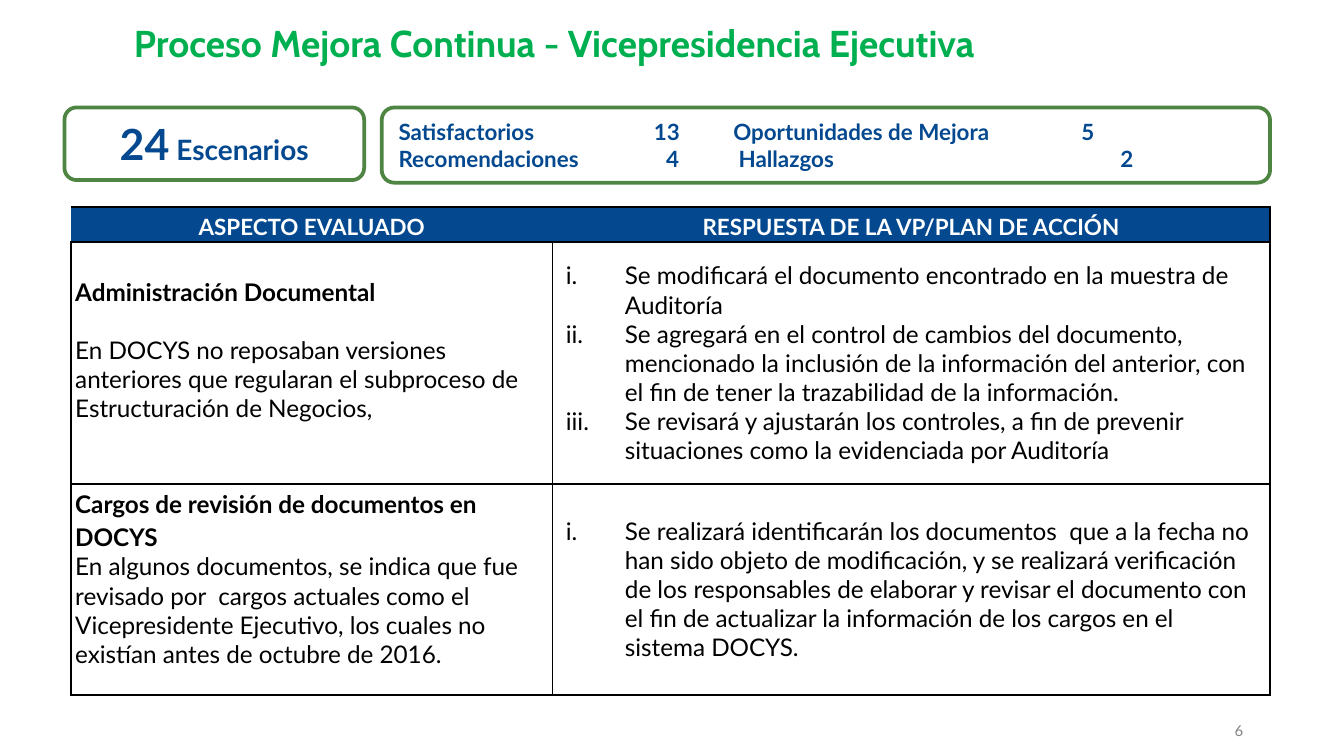
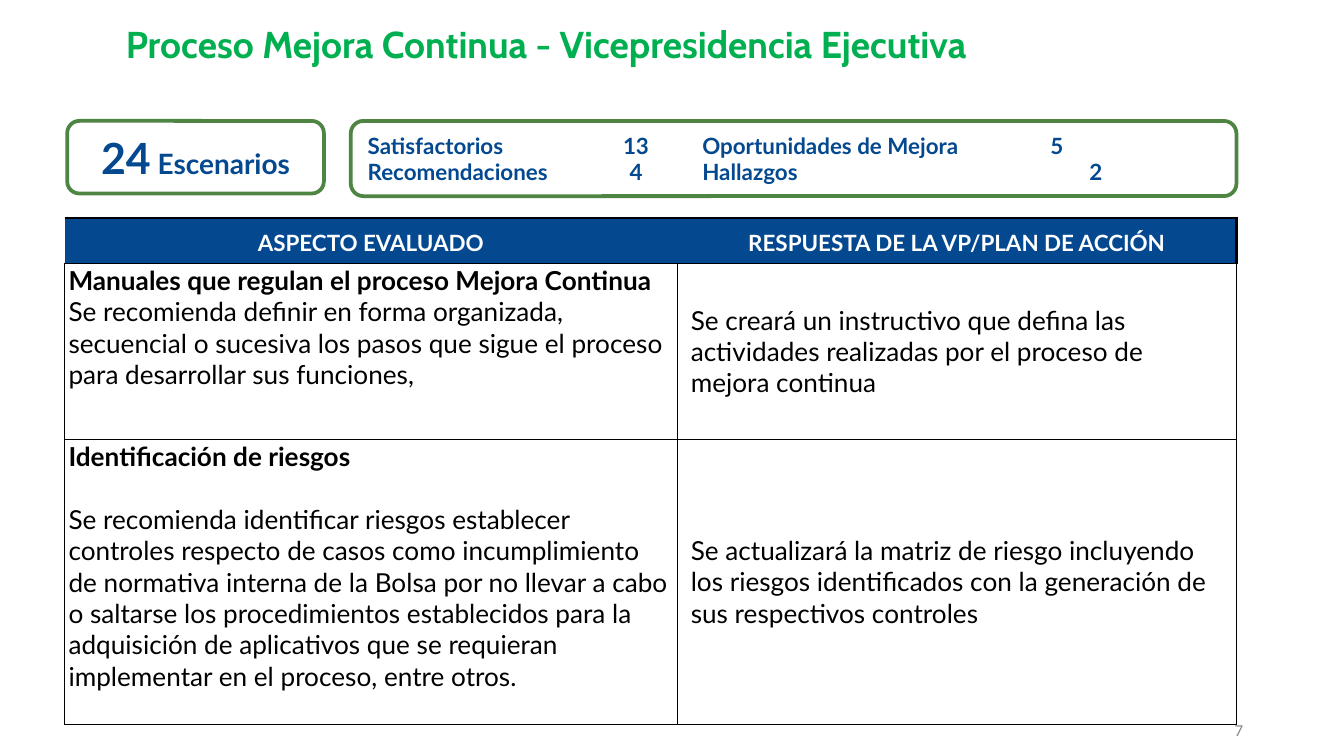
from pptx import Presentation
from pptx.dml.color import RGBColor
from pptx.enum.shapes import MSO_SHAPE as Shape
from pptx.enum.text import MSO_ANCHOR as Anchor, PP_ALIGN as Align
from pptx.oxml.ns import qn
from pptx.util import Inches, Pt
from lxml.etree import SubElement

GREEN = RGBColor(0x00, 0xB0, 0x50)
FRAME_GREEN = RGBColor(0x4E, 0x85, 0x42)
BLUE = RGBColor(0x04, 0x49, 0x90)
GRAY = RGBColor(0x84, 0x84, 0x84)
BLACK = RGBColor(0, 0, 0)
WHITE = RGBColor(0xFF, 0xFF, 0xFF)
BODY_FONT, TITLE_FONT = "Lato", "Cabin"

TITLE = "Proceso Mejora Continua - Vicepresidencia Ejecutiva"
HEADERS = ["ASPECTO EVALUADO", "RESPUESTA DE LA VP/PLAN DE ACCIÓN"]
RESULTS = [
    ["Satisfactorios", "13", "Oportunidades de Mejora", "5"],
    ["Recomendaciones", "4", "Hallazgos", "2"],
]
SATISFACTORY_STOPS = [1.9, 2.49, 5.08]

DOCUMENT_FINDINGS = [
    {
        "aspect": "Administración Documental",
        "detail": "En DOCYS no reposaban versiones anteriores que regularan el "
                  "subproceso de Estructuración de Negocios,",
        "top": 0.23, "gap": 15.6, "spacing": 1.15,
        "answers": [
            "Se modificará el documento encontrado en la muestra de Auditoría",
            "Se agregará en el control de cambios del documento, mencionado la "
            "inclusión de la información del anterior, con el fin de tener la "
            "trazabilidad de la información.",
            "Se revisará y ajustarán los controles, a fin de prevenir situaciones "
            "como la evidenciada por Auditoría",
        ],
    },
    {
        "aspect": "Cargos de revisión de documentos en DOCYS",
        "detail": "En algunos documentos, se indica que fue revisado por  cargos "
                  "actuales como el Vicepresidente Ejecutivo, los cuales no existían "
                  "antes de octubre de 2016.",
        "spacing": 1.15,
        "answers": [
            "Se realizará identificarán los documentos  que a la fecha no han sido "
            "objeto de modificación, y se realizará verificación de los responsables "
            "de elaborar y revisar el documento con el fin de actualizar la "
            "información de los cargos en el sistema DOCYS.",
        ],
    },
]

PROCESS_FINDINGS = [
    {
        "aspect": "Manuales que regulan el proceso Mejora Continua",
        "detail": "Se recomienda definir en forma organizada, secuencial o sucesiva "
                  "los pasos que sigue el proceso para desarrollar sus funciones,",
        "joined": True,
        "answers": [
            "Se creará un instructivo que defina las actividades realizadas por el "
            "proceso de mejora continua",
        ],
    },
    {
        "aspect": "Identificación de riesgos",
        "detail": "Se recomienda identificar riesgos establecer controles respecto de "
                  "casos como incumplimiento de normativa interna de la Bolsa por no "
                  "llevar a cabo o saltarse los procedimientos establecidos para la "
                  "adquisición de aplicativos que se requieran implementar en el "
                  "proceso, entre otros.",
        "gap": 16.8,
        "answers": [
            "Se actualizará la matriz de riesgo incluyendo los riesgos identificados "
            "con la generación de sus respectivos controles",
        ],
    },
]


def add_run(paragraph, text, size, color, bold=False, font=BODY_FONT):
    run = paragraph.add_run()
    run.text = text
    run.font.size = Pt(size)
    run.font.name = font
    run.font.bold = bold
    run.font.color.rgb = color


def next_paragraph(frame, index):
    return frame.add_paragraph() if index else frame.paragraphs[0]


def add_label(slide, box, text, size, color, align, anchor=Anchor.TOP,
              bold=False, font=BODY_FONT, spacing=None):
    frame = slide.shapes.add_textbox(*map(Inches, box)).text_frame
    frame.word_wrap = True
    frame.vertical_anchor = anchor
    frame.margin_left = frame.margin_right = frame.margin_top = frame.margin_bottom = 0
    paragraph = frame.paragraphs[0]
    paragraph.alignment = align
    paragraph.line_spacing = spacing
    add_run(paragraph, text, size, color, bold, font)


def add_rounded_frame(slide, left, top, width, height):
    panel = slide.shapes.add_shape(
        Shape.ROUNDED_RECTANGLE, *map(Inches, (left, top, width, height)))
    panel.shadow.inherit = False
    panel.fill.solid()
    panel.fill.fore_color.rgb = WHITE
    panel.line.color.rgb = FRAME_GREEN
    panel.line.width = Pt(2)
    panel.text_frame.word_wrap = True
    return panel.text_frame


def set_tabs(paragraph, stops):
    tabs = SubElement(paragraph._p.get_or_add_pPr(), qn("a:tabLst"))
    for stop in stops:
        SubElement(tabs, qn("a:tab"), pos=str(Inches(stop)), algn="l")


def add_summary(slide, top, scenarios_span, results_span, recommendation_stops):
    left, width = scenarios_span
    scenarios = add_rounded_frame(slide, left, top, width, 0.54).paragraphs[0]
    scenarios.alignment = Align.CENTER
    add_run(scenarios, "24", 23, BLUE, True)
    add_run(scenarios, " Escenarios", 15, BLUE, True)

    left, width = results_span
    results = add_rounded_frame(slide, left, top, width, 0.56)
    all_stops = [SATISFACTORY_STOPS, recommendation_stops]
    for index, (parts, stops) in enumerate(zip(RESULTS, all_stops)):
        line = next_paragraph(results, index)
        line.alignment = Align.LEFT
        set_tabs(line, stops)
        add_run(line, "\t".join(parts), 12, BLUE, True)


def set_borders(cell, **widths):
    properties = cell._tc.get_or_add_tcPr()
    for index, side in enumerate("LRTB"):
        width = widths.get(side, 0)
        border = properties.makeelement(qn(f"a:ln{side}"), {"w": str(Pt(width))})
        properties.insert(index, border)
        if width:
            fill = SubElement(border, qn("a:solidFill"))
            SubElement(fill, qn("a:srgbClr"), val=str(BLACK))
        else:
            SubElement(border, qn("a:noFill"))


def set_margins(cell, side, top, bottom):
    cell.margin_left = cell.margin_right = Inches(side)
    cell.margin_top, cell.margin_bottom = Inches(top), Inches(bottom)


def number_roman(paragraph):
    properties = paragraph._p.get_or_add_pPr()
    properties.set("marL", str(Inches(0.44)))
    properties.set("indent", str(-Inches(0.44)))
    SubElement(properties, qn("a:buFont"), typeface="+mj-lt")
    SubElement(properties, qn("a:buAutoNum"), type="romanLcPeriod")


def fill_header(cell, text, is_last):
    cell.fill.solid()
    cell.fill.fore_color.rgb = BLUE
    set_borders(cell, T=1.5, B=1, R=1.5 if is_last else 0)
    set_margins(cell, 0.03, 0.01, 0.01)
    cell.vertical_anchor = Anchor.MIDDLE
    heading = cell.text_frame.paragraphs[0]
    heading.alignment = Align.CENTER
    heading.line_spacing = 1.15
    add_run(heading, text, 12, WHITE, True)


def fill_aspect(cell, finding, size):
    set_margins(cell, 0.03, finding.get("top", 0.01), 0.01)
    cell.vertical_anchor = Anchor.TOP
    aspect = cell.text_frame.paragraphs[0]
    aspect.line_spacing = finding.get("spacing")
    aspect.space_after = Pt(finding.get("gap", 0))
    add_run(aspect, finding["aspect"], size, BLACK, True)
    if finding.get("joined"):
        aspect.add_line_break()
        detail = aspect
    else:
        detail = cell.text_frame.add_paragraph()
    add_run(detail, finding["detail"], size, BLACK)


def fill_answers(cell, answers, size, numbered):
    set_margins(cell, 0.1, 0.04, 0.04)
    cell.vertical_anchor = Anchor.MIDDLE
    for index, text in enumerate(answers):
        answer = next_paragraph(cell.text_frame, index)
        if numbered:
            number_roman(answer)
        add_run(answer, text, size, BLACK)


def add_findings(slide, left, top, widths, heights, findings, size, numbered):
    table = slide.shapes.add_table(
        len(heights), len(widths), Inches(left), Inches(top),
        Inches(sum(widths)), Inches(sum(heights))).table
    table.first_row = table.horz_banding = False
    for column, width in zip(table.columns, widths):
        column.width = Inches(width)
    for row, height in zip(table.rows, heights):
        row.height = Inches(height)
    for index, header in enumerate(HEADERS):
        fill_header(table.cell(0, index), header, index == len(HEADERS) - 1)
    for index, finding in enumerate(findings, 1):
        aspect, answers = table.cell(index, 0), table.cell(index, 1)
        for cell in (aspect, answers):
            cell.fill.background()
            set_borders(cell, L=1, R=1, T=1, B=1)
        fill_aspect(aspect, finding, size)
        fill_answers(answers, finding["answers"], size, numbered)


def add_page(deck, number, title_box):
    slide = deck.slides.add_slide(deck.slide_layouts[6])
    add_label(slide, (8.93, 5.37, 0.32, 0.13), str(number), 8, GRAY,
              Align.RIGHT, Anchor.BOTTOM)
    add_label(slide, title_box, TITLE, 20, GREEN, Align.CENTER,
              bold=True, font=TITLE_FONT, spacing=0.85)
    return slide


def main():
    deck = Presentation()
    deck.slide_width = Inches(10)
    deck.slide_height = Inches(10) * 9 // 16

    documents = add_page(deck, 6, (0.58, 0.2, 7.09, 0.48))
    add_findings(documents, 0.53, 1.54, [3.58, 5.34], [0.26, 1.8, 1.57],
                 DOCUMENT_FINDINGS, 13, True)
    add_summary(documents, 0.8, (0.48, 2.23), (2.84, 6.61), [1.99, 2.53, 5.37])

    process = add_page(deck, 7, (0.41, 0.21, 7.31, 0.44))
    add_findings(process, 0.48, 1.62, [4.56, 4.16], [0.34, 1.31, 2.12],
                 PROCESS_FINDINGS, 14, False)
    add_summary(process, 0.9, (0.5, 1.91), (2.61, 6.59), [1.95, 2.49, 5.37])

    deck.save("out.pptx")


if __name__ == "__main__":
    main()
